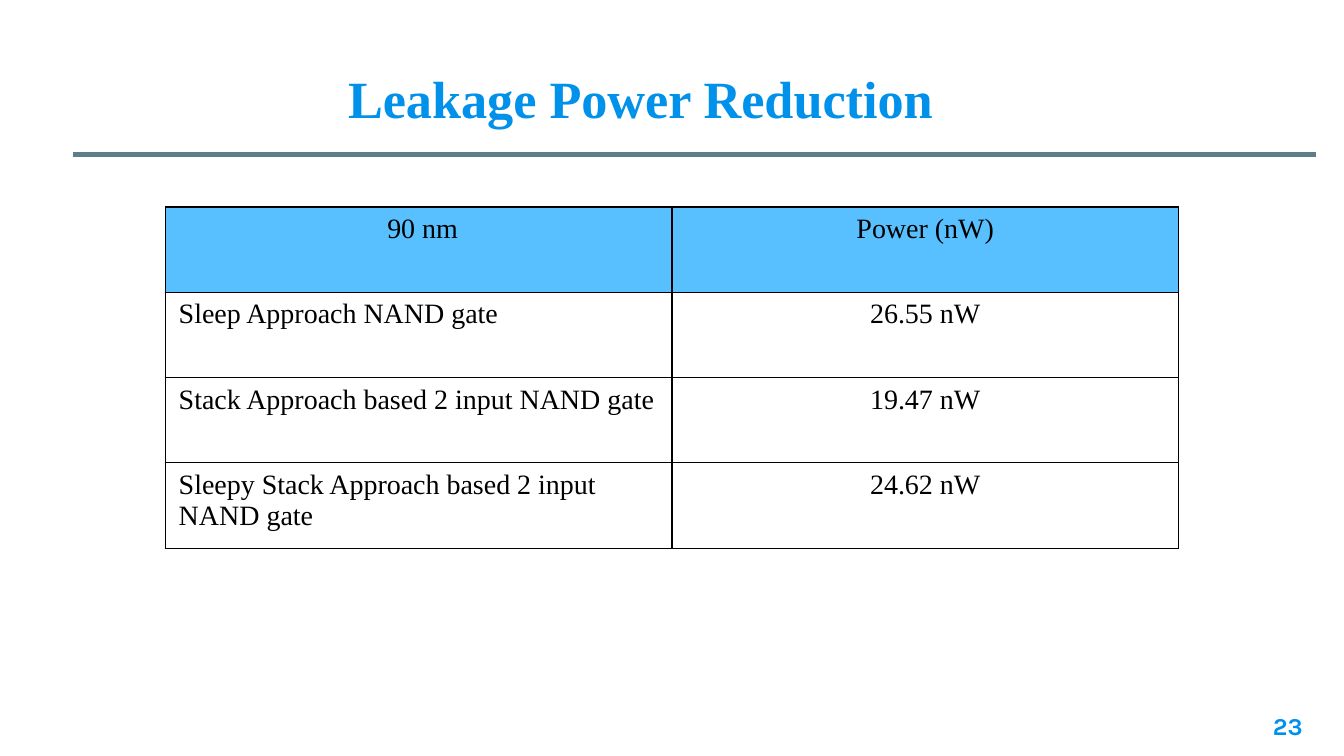
from lxml import etree
from pptx import Presentation
from pptx import util as u
from pptx.dml.color import RGBColor
from pptx.enum import shapes, text
from pptx.oxml import ns

TITLE = "Leakage Power Reduction"
NUMBER = "23"
ROWS = [
    ("90 nm", "Power (nW)"),
    ("Sleep Approach NAND gate", "26.55 nW"),
    ("Stack Approach based 2 input NAND gate", "19.47 nW"),
    ("Sleepy Stack Approach based 2 input NAND gate", "24.62 nW"),
]
SERIF, SANS = "Times New Roman", "Karla"
BLUE, HEADER, RULE, BLACK = "0091EA", "59C0FF", "607D8B", "000000"
LEFT, CENTER, RIGHT = text.PP_ALIGN.LEFT, text.PP_ALIGN.CENTER, text.PP_ALIGN.RIGHT


def rgb(value):
    return RGBColor.from_string(value)


def write(tf, words, font, size, color, bold, align):
    p = tf.paragraphs[0]
    p.alignment = align
    r = p.add_run()
    r.text = words
    r.font.name = font
    r.font.size = u.Pt(size)
    r.font.bold = bold
    r.font.color.rgb = rgb(color)


def place(sp, left, top, width, height):
    sp.left, sp.top = u.Inches(left), u.Inches(top)
    sp.width, sp.height = u.Inches(width), u.Inches(height)


def add_borders(cell, color, points):
    props = cell._tc.get_or_add_tcPr()
    for i, side in enumerate(("lnL", "lnR", "lnT", "lnB")):
        ln = etree.Element(ns.qn("a:" + side), w=str(u.Pt(points)))
        fill = etree.SubElement(ln, ns.qn("a:solidFill"))
        etree.SubElement(fill, ns.qn("a:srgbClr"), val=color)
        props.insert(i, ln)


prs = Presentation()
prs.slide_width = u.Inches(10)
prs.slide_height = prs.slide_width * 9 // 16
s = prs.slides.add_slide(prs.slide_layouts[5])

sp = s.shapes.title
place(sp, 1.91, 0.44, 6.05, 0.57)
tf = sp.text_frame
tf.auto_size = text.MSO_AUTO_SIZE.NONE
tf.vertical_anchor = text.MSO_ANCHOR.MIDDLE
tf.margin_left = u.Inches(0.68)
write(tf, TITLE, SERIF, 28, BLUE, True, LEFT)

line = s.shapes.add_connector(
    shapes.MSO_CONNECTOR.STRAIGHT,
    u.Inches(0.54), u.Inches(1.15), u.Inches(9.79), u.Inches(1.15))
line.line.color.rgb = rgb(RULE)
line.line.width = u.Pt(2.25)
etree.SubElement(line._element.spPr, ns.qn("a:effectLst"))

table = s.shapes.add_table(
    len(ROWS), len(ROWS[0]),
    u.Inches(1.23), u.Inches(1.54), u.Inches(7.54), u.Inches(2.54)).table
for i, row in enumerate(ROWS):
    for j, words in enumerate(row):
        cell = table.cell(i, j)
        if i == 0:
            cell.fill.solid()
            cell.fill.fore_color.rgb = rgb(HEADER)
        else:
            cell.fill.background()
        align = LEFT if i and j == 0 else CENTER
        write(cell.text_frame, words, SERIF, 15, BLACK, False, align)
        add_borders(cell, BLACK, 0.75)
table.cell(0, 0).margin_left = u.Inches(0.16)

sp = s.shapes.add_textbox(0, 0, 0, 0)
place(sp, 9.19, 5.19, 0.6, 0.43)
tf = sp.text_frame
tf.word_wrap = True
tf.margin_left = tf.margin_right = tf.margin_top = tf.margin_bottom = u.Inches(0.1)
write(tf, NUMBER, SANS, 13, BLUE, True, RIGHT)

prs.save("out.pptx")
